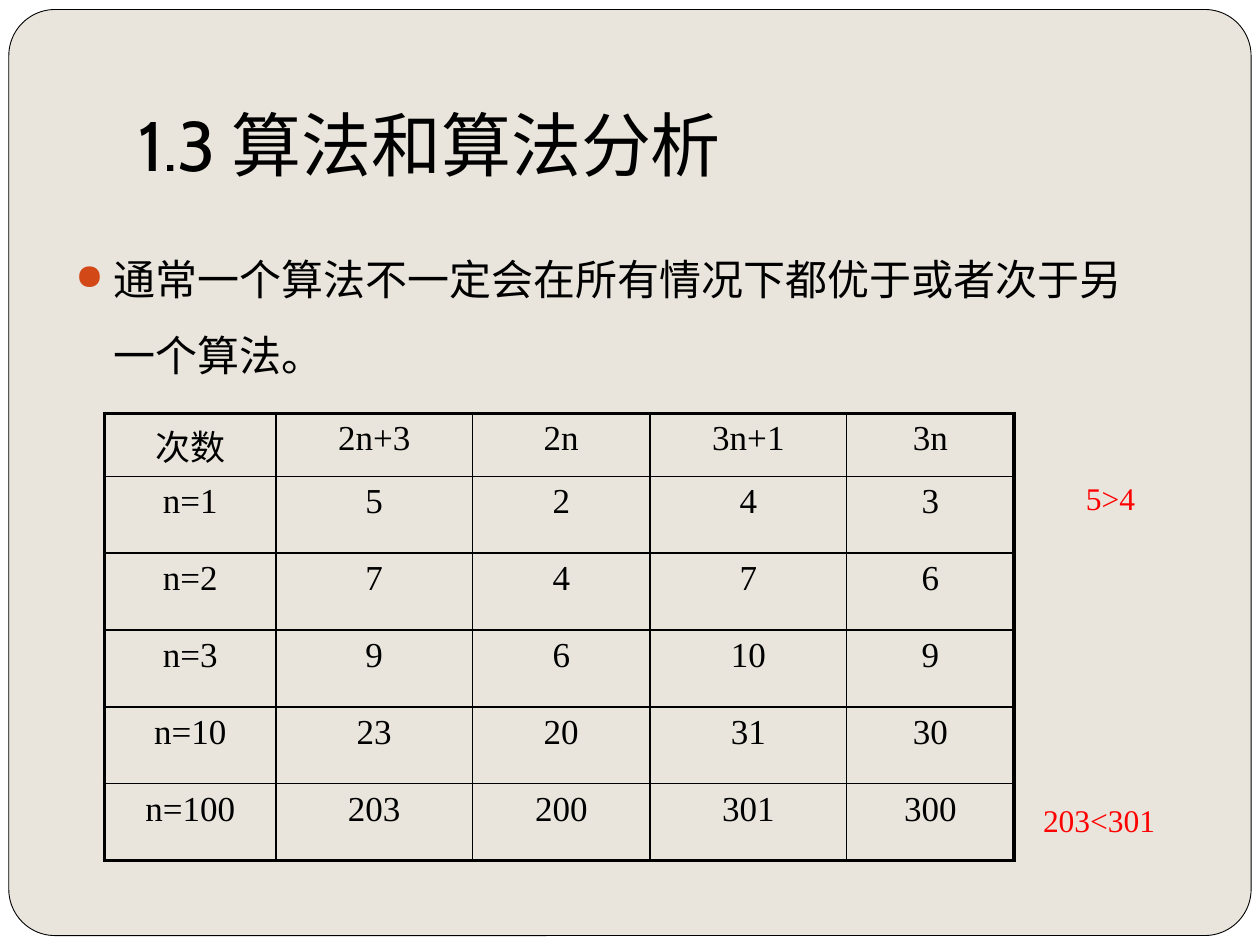
from dataclasses import dataclass

from lxml.etree import SubElement
from pptx import Presentation
from pptx.dml.color import RGBColor
from pptx.enum.shapes import MSO_SHAPE
from pptx.enum.text import MSO_ANCHOR, MSO_AUTO_SIZE, PP_ALIGN
from pptx.oxml import parse_xml
from pptx.oxml.ns import nsdecls, qn
from pptx.util import Emu, Inches, Pt


@dataclass(frozen=True)
class Theme:
    """Colours, fonts and type sizes of the slide."""
    paper: str = "E9E5DC"
    white: str = "FFFFFF"
    ink: str = "000000"
    note: str = "FF0000"
    bullet: str = "D34817"
    heading_font: str = "Cabin"
    body_font: str = "Times New Roman"
    title_size: int = 40
    body_size: int = 24
    table_size: int = 20
    note_size: int = 18
    frame_line: float = 0.5
    inner_line: float = 1
    outer_line: float = 2.25


THEME = Theme()
WIDTH, HEIGHT = Inches(10), Inches(7.5)
COLUMN_WIDTHS = [1.36, 1.56, 1.41, 1.56, 1.33]
ROW_HEIGHTS = [0.5] + [0.61] * 5
COUNTS = [
    ["次数", "2n+3", "2n", "3n+1", "3n"],
    ["n=1", "5", "2", "4", "3"],
    ["n=2", "7", "4", "7", "6"],
    ["n=3", "9", "6", "10", "9"],
    ["n=10", "23", "20", "31", "30"],
    ["n=100", "203", "200", "301", "300"],
]


def box(left, top, width, height):
    """Turn shares of the slide's size into lengths."""
    return (Emu(int(WIDTH * left)), Emu(int(HEIGHT * top)),
            Emu(int(WIDTH * width)), Emu(int(HEIGHT * height)))


def style_text(paragraph, size, font=THEME.body_font, color=THEME.ink):
    """Format every run of a paragraph."""
    for run in paragraph.runs:
        run.font.size = Pt(size)
        run.font.name = font
        run.font.color.rgb = RGBColor.from_string(color)


def add_panel(slide, kind, place, fill, line=None):
    """Add a flat background panel."""
    panel = slide.shapes.add_shape(kind, *box(*place))
    panel.shadow.inherit = False
    panel.fill.solid()
    panel.fill.fore_color.rgb = RGBColor.from_string(fill)
    if line:
        panel.line.color.rgb = RGBColor.from_string(line)
        panel.line.width = Pt(THEME.frame_line)
    else:
        panel.line.fill.background()
    return panel


def add_text(slide, place, text, size, **look):
    """Add a wrapping text box and return its frame."""
    frame = slide.shapes.add_textbox(*box(*place)).text_frame
    frame.word_wrap = True
    frame.text = text
    style_text(frame.paragraphs[0], size, **look)
    return frame


def add_title(slide, text):
    """Add the bottom-anchored heading."""
    frame = add_text(slide, (0.1, 0.04, 0.85, 0.17), text,
                     THEME.title_size, font=THEME.heading_font)
    frame.vertical_anchor = MSO_ANCHOR.BOTTOM
    frame.margin_bottom = Inches(0.1)


def add_bullet_text(slide, text):
    """Add the bulleted statement with a hanging indent."""
    frame = add_text(slide, (0.05, 0.235, 0.865, 0.157), text, THEME.body_size)
    paragraph = frame.paragraphs[0]
    paragraph.line_spacing = 1.5
    props = paragraph._p.get_or_add_pPr()
    props.set("marL", str(Inches(0.3)))
    props.set("indent", str(Inches(-0.3)))
    bullet_color = SubElement(props, qn("a:buClr"))
    SubElement(bullet_color, qn("a:srgbClr"), val=THEME.bullet)
    SubElement(props, qn("a:buSzPct"), val="85000")
    SubElement(props, qn("a:buChar"), char="●")


def add_note(slide, place, text):
    """Add a red remark beside the table."""
    frame = add_text(slide, place, text, THEME.note_size, color=THEME.note)
    frame.auto_size = MSO_AUTO_SIZE.SHAPE_TO_FIT_TEXT


def set_borders(cell, outer_sides):
    """Draw the four borders of a cell, thicker on the outer sides."""
    props = cell._tc.get_or_add_tcPr()
    for index, side in enumerate("LRTB"):
        points = THEME.outer_line if side in outer_sides else THEME.inner_line
        props.insert(index, parse_xml(
            f'<a:ln{side} {nsdecls("a")} w="{Pt(points)}"><a:solidFill>'
            f'<a:srgbClr val="{THEME.ink}"/></a:solidFill></a:ln{side}>'))


def add_count_table(slide):
    """Add the table of operation counts."""
    last_row, last_column = len(COUNTS) - 1, len(COLUMN_WIDTHS) - 1
    table = slide.shapes.add_table(
        len(COUNTS), len(COLUMN_WIDTHS), Inches(0.83), Inches(3.28),
        Inches(sum(COLUMN_WIDTHS)), Inches(sum(ROW_HEIGHTS))).table
    table.first_row = table.horz_banding = False
    for column, width in zip(table.columns, COLUMN_WIDTHS):
        column.width = Inches(width)
    for r, (row, height) in enumerate(zip(table.rows, ROW_HEIGHTS)):
        row.height = Inches(height)
        for c, cell in enumerate(row.cells):
            cell.text_frame.text = COUNTS[r][c]
            paragraph = cell.text_frame.paragraphs[0]
            paragraph.alignment = PP_ALIGN.CENTER
            style_text(paragraph, THEME.table_size)
            cell.fill.background()
            edges = {"L": c == 0, "R": c == last_column,
                     "T": r == 0, "B": r == last_row}
            set_borders(cell, [side for side, outer in edges.items() if outer])


def main():
    """Build the slide and save it."""
    deck = Presentation()
    deck.slide_width, deck.slide_height = WIDTH, HEIGHT
    slide = deck.slides.add_slide(deck.slide_layouts[6])
    slide.background.fill.solid()
    slide.background.fill.fore_color.rgb = RGBColor.from_string(THEME.paper)
    add_panel(slide, MSO_SHAPE.RECTANGLE, (0, 0, 1, 1), THEME.white)
    frame = add_panel(slide, MSO_SHAPE.ROUNDED_RECTANGLE,
                      (0.007, 0.01, 0.986, 0.98), THEME.paper, THEME.ink)
    frame.adjustments[0] = 0.05
    add_title(slide, "1.3 算法和算法分析")
    add_bullet_text(slide, "通常一个算法不一定会在所有情况下都优于或者次于另一个算法。")
    add_count_table(slide)
    add_note(slide, (0.852, 0.5, 0.085, 0.053), "5>4")
    add_note(slide, (0.818, 0.841, 0.154, 0.053), "203<301")
    deck.save("out.pptx")


if __name__ == "__main__":
    main()
